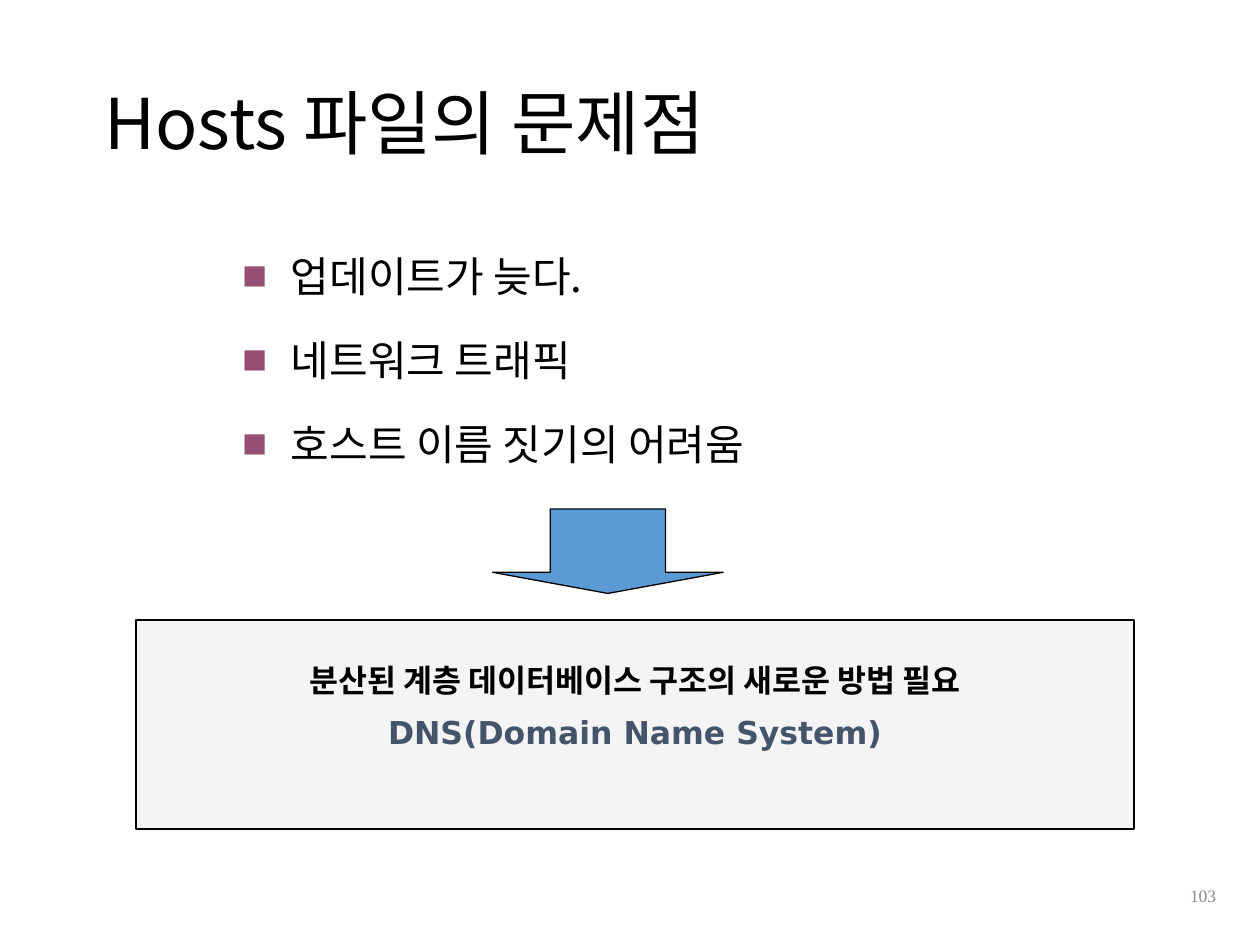
from lxml import etree
from pptx import Presentation, oxml
from pptx import util as u
from pptx.dml.color import RGBColor
from pptx.enum import shapes, text
from pptx.oxml.ns import qn

COLORS = {
    "ink": "000000",
    "number": "8C8C8C",
    "bullet": "954F72",
    "panel": "EAEAEA",
    "accent": "44546A",
    "arrow": "5B9BD5",
}
KOREAN = "Noto Sans CJK KR"
NAMESPACE = 'xmlns:a="http://schemas.openxmlformats.org/drawingml/2006/main"'


def write(para, words, size, color, name=KOREAN, bold=False, **layout):
    for key, value in layout.items():
        setattr(para, key, value)
    span = para.add_run()
    span.text = words
    for key, value in {"size": u.Pt(size), "name": name, "bold": bold}.items():
        setattr(span.font, key, value)
    span.font.color.rgb = RGBColor.from_string(COLORS[color])
    east_asian = etree.SubElement(span.font._element, qn("a:ea"))
    east_asian.set("typeface", KOREAN)


def add_block(kind, place, fill, line_width):
    block = page.shapes.add_shape(kind, *map(u.Inches, place))
    block.shadow.inherit = False
    block.fill.solid()
    block.fill.fore_color.rgb = RGBColor.from_string(COLORS[fill])
    block.line.color.rgb = RGBColor.from_string(COLORS["ink"])
    block.line.width = u.Pt(line_width)
    return block


deck = Presentation()
deck.slide_width, deck.slide_height = u.Inches(10), u.Inches(7.5)
page = deck.slides.add_slide(deck.slide_layouts[5])

title = page.shapes.title
title_place = {"left": 0.73, "top": 0.28, "width": 8.62, "height": 1.45}
for key, value in title_place.items():
    setattr(title, key, u.Inches(value))
title.text_frame.vertical_anchor = text.MSO_ANCHOR.MIDDLE
write(title.text_frame.paragraphs[0], "Hosts 파일의 문제점", 40, "ink",
      alignment=text.PP_ALIGN.LEFT, line_spacing=0.9)

number = page.shapes.add_textbox(*map(u.Inches, (7.5, 6.91, 2.25, 0.4)))
number.text_frame.word_wrap = True
number.text_frame.vertical_anchor = text.MSO_ANCHOR.MIDDLE
write(number.text_frame.paragraphs[0], "103", 10, "number", "Times New Roman",
      alignment=text.PP_ALIGN.RIGHT)

problems = page.shapes.add_textbox(*map(u.Inches, (1.83, 1.73, 7, 1.67)))
problems.text_frame.word_wrap = True
bullet_parts = (
    f'<a:buClr {NAMESPACE}><a:srgbClr val="{COLORS["bullet"]}"/></a:buClr>',
    f'<a:buSzPct {NAMESPACE} val="60000"/>',
    f'<a:buFont {NAMESPACE} typeface="{KOREAN}"/>',
    f'<a:buChar {NAMESPACE} char="■"/>',
)
for index, words in enumerate(("업데이트가 늦다.", "네트워크 트래픽", "호스트 이름 짓기의 어려움")):
    frame = problems.text_frame
    para = frame.add_paragraph() if index else frame.paragraphs[0]
    properties = para._p.get_or_add_pPr()
    properties.set("marL", str(u.Inches(0.38)))
    properties.set("indent", str(-u.Inches(0.38)))
    for part in bullet_parts:
        properties.append(oxml.parse_xml(part))
    write(para, words, 24, "ink", line_spacing=u.Pt(44),
          space_before=u.Pt(4 if index else 0))

panel = add_block(shapes.MSO_SHAPE.RECTANGLE, (1.08, 4.92, 7.92, 1.66), "panel", 1.5)
panel_color = panel.fill._xPr.find(qn("a:solidFill"))[0]
etree.SubElement(panel_color, qn("a:alpha")).set("val", "50000")
frame = panel.text_frame
frame_format = {
    "word_wrap": True,
    "vertical_anchor": text.MSO_ANCHOR.TOP,
    "margin_top": u.Inches(0.33),
}
for key, value in frame_format.items():
    setattr(frame, key, value)
solution = (("분산된 계층 데이터베이스 구조의 새로운 방법 필요", "ink"),
            ("DNS(Domain Name System)", "accent"))
for index, (words, color) in enumerate(solution):
    para = frame.add_paragraph() if index else frame.paragraphs[0]
    write(para, words, 18, color, "DejaVu Sans", True,
          alignment=text.PP_ALIGN.CENTER, space_before=u.Pt(8 if index else 0))

arrow = add_block(shapes.MSO_SHAPE.DOWN_ARROW, (3.91, 4.04, 1.83, 0.67), "arrow", 0.75)
arrow.adjustments[0], arrow.adjustments[1] = 0.5, 0.25

deck.save("out.pptx")
